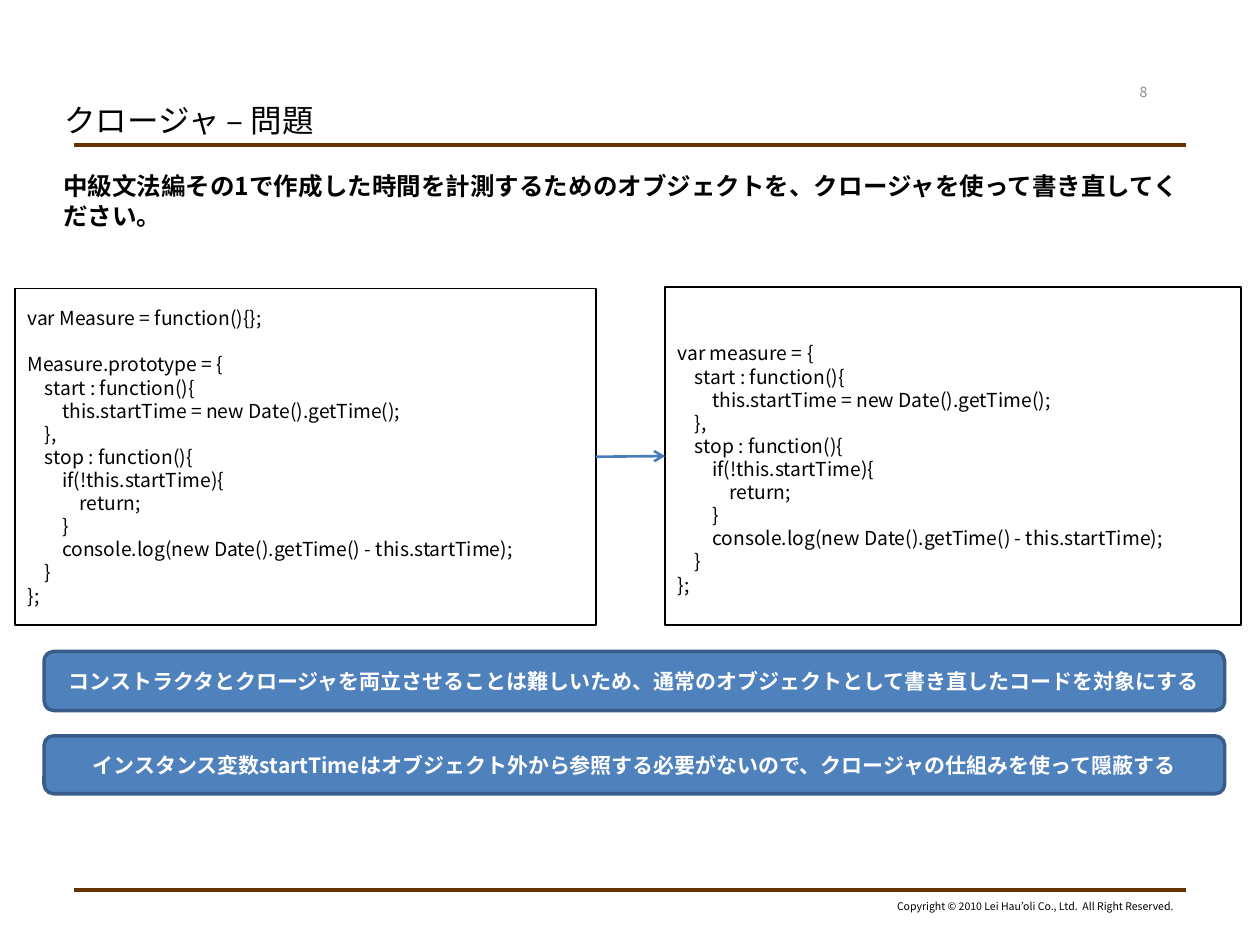
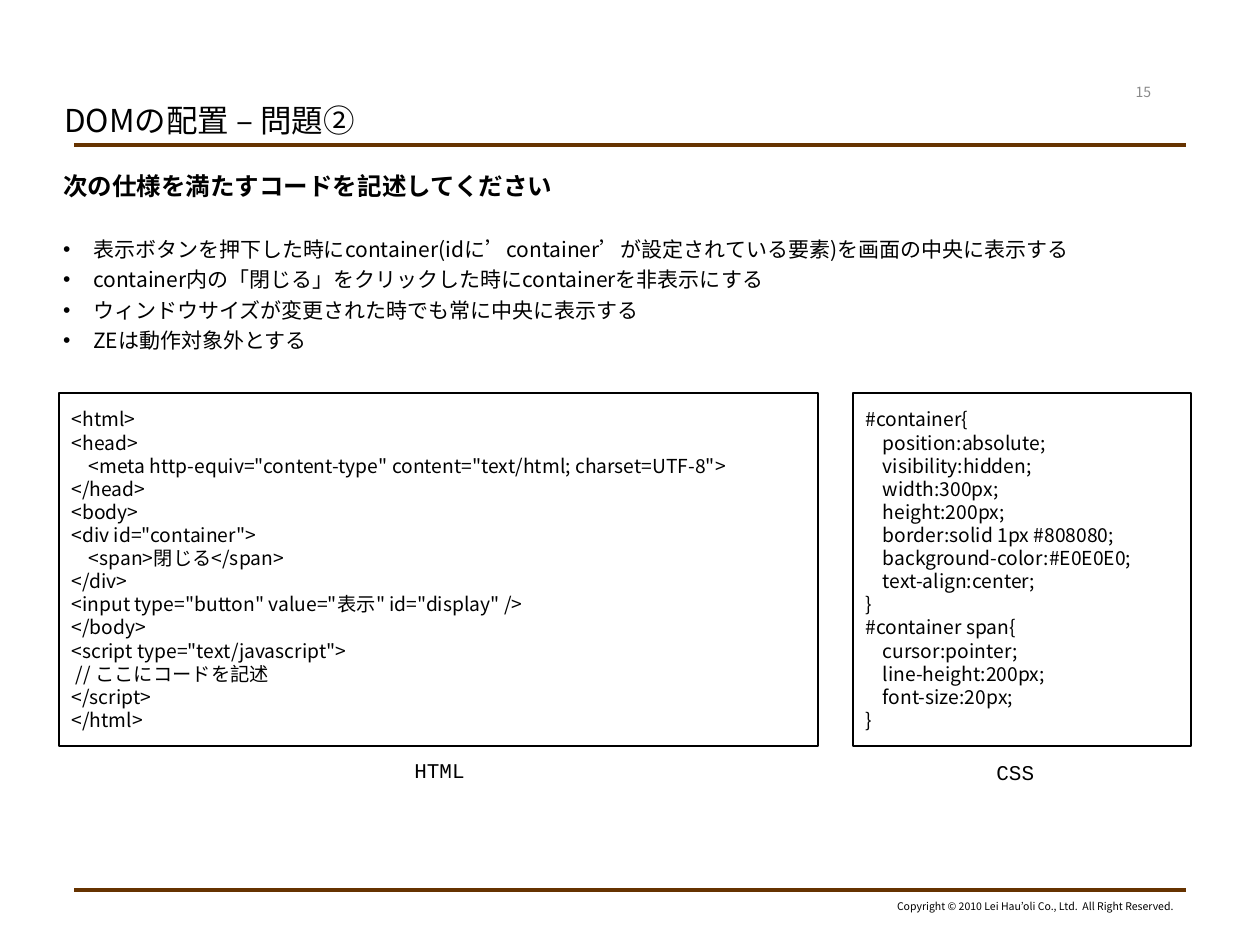
import pptx
import pptx.dml.color
import pptx.enum.shapes
import pptx.enum.text
import pptx.oxml.ns
import pptx.util
from lxml import etree

Inches = pptx.util.Inches
Pt = pptx.util.Pt
Align = pptx.enum.text.PP_ALIGN
Anchor = pptx.enum.text.MSO_ANCHOR
Shape = pptx.enum.shapes.MSO_SHAPE
Connector = pptx.enum.shapes.MSO_CONNECTOR

# Shared style
BLACK, WHITE, GREY, BROWN = "000000", "FFFFFF", "898989", "663300"
BLUE, BLUE_EDGE, ARROW_BLUE = "4F81BD", "385D8A", "4A7EBB"
MAIN_FONT, LABEL_FONT = "Noto Sans CJK JP", "Courier New"
LINE_HEIGHT = 1.2
RULE_LEFT, RULE_RIGHT = 0.59, 9.41
INSETS = (0.1, 0.05, 0.1, 0.05)
NO_INSETS = (0, 0, 0, 0)

# Code listings
MEASURE_METHODS = """\
    start : function(){
        this.startTime = new Date().getTime();
    },
    stop : function(){
        if(!this.startTime){
            return;
        }
        console.log(new Date().getTime() - this.startTime);
    }
};"""
CONSTRUCTOR_CODE = """\
var Measure = function(){};

Measure.prototype = {
""" + MEASURE_METHODS
OBJECT_CODE = "var measure = {\n" + MEASURE_METHODS
HTML_CODE = """\
<html>
<head>
    <meta http-equiv="content-type" content="text/html; charset=UTF-8">
</head>
<body>
<div id="container">
    <span>閉じる</span>
</div>
<input type="button" value="表示" id="display" />
</body>
<script type="text/javascript">
 // ここにコードを記述
</script>
</html>"""
CSS_CODE = """\
#container{
    position:absolute;
    visibility:hidden;
    width:300px;
    height:200px;
    border:solid 1px #808080;
    background-color:#E0E0E0;
    text-align:center;
}
#container span{
    cursor:pointer;
    line-height:200px;
    font-size:20px;
}"""


def color(value):
    return pptx.dml.color.RGBColor.from_string(value)


def add_xml(parent, tag, **attributes):
    return etree.SubElement(parent, pptx.oxml.ns.qn(tag), attributes)


def set_all(target, values):
    for name, value in values.items():
        setattr(target, name, value)


class Lesson:
    """Holds the deck, its style and the current page."""

    def __init__(self):
        self.deck = pptx.Presentation()
        set_all(self.deck, {"slide_width": Inches(10), "slide_height": Inches(7.5)})
        self.page = None

    def add_page(self, title, number):
        first = self.page is None
        self.page = self.deck.slides.add_slide(self.deck.slide_layouts[1])
        if first:
            self.add_master_parts()
        heading = self.page.shapes.title
        self.place(heading, 0.51, 0.76, 5.68, 0.39)
        self.fill_text(heading, [title], 18, insets=NO_INSETS)
        self.text_box(number, 8.78, 0.61, 0.59, 0.24, 8, hue=GREY,
                      align=Align.CENTER, anchor=Anchor.MIDDLE, wrap=True)

    def add_master_parts(self):
        """Put the rules and the copyright line on the slide master."""
        parts = [self.line(RULE_LEFT, y, RULE_RIGHT, y, BROWN, 2.25) for y in (1.15, 7.06)]
        parts.append(self.text_box(
            "Copyright © 2010 Lei Hau’oli Co., Ltd.  All Right Reserved.",
            6.99, 7.09, 2.42, 0.2, 6, align=Align.RIGHT))
        for part in parts:
            self.deck.slide_master.shapes.element.append(part.element)

    def place(self, box, left, top, width, height):
        set_all(box, {"left": Inches(left), "top": Inches(top),
                      "width": Inches(width), "height": Inches(height)})

    def fill_text(self, box, lines, size, hue=BLACK, font=MAIN_FONT, bold=False,
                  align=Align.LEFT, anchor=Anchor.MIDDLE, insets=INSETS, wrap=True):
        frame = box.text_frame
        left, top, right, bottom = map(Inches, insets)
        set_all(frame, {
            "margin_left": left, "margin_top": top, "margin_right": right,
            "margin_bottom": bottom, "vertical_anchor": anchor, "word_wrap": wrap,
            "auto_size": pptx.enum.text.MSO_AUTO_SIZE.NONE})
        for index, text in enumerate(lines):
            para = frame.paragraphs[0] if index == 0 else frame.add_paragraph()
            self.fill_para(para, text, size, hue, font, bold, align)

    def fill_para(self, para, text, size, hue=BLACK, font=MAIN_FONT, bold=False,
                  align=Align.LEFT, before=0):
        set_all(para, {"alignment": align, "line_spacing": Pt(size * LINE_HEIGHT),
                       "space_before": Pt(before), "space_after": Pt(0)})
        if not text:
            para.font.size = Pt(size)
            return
        span = para.add_run()
        span.text = text
        set_all(span.font, {"size": Pt(size), "name": font, "bold": bold})
        span.font.color.rgb = color(hue)
        add_xml(span.font._element, "a:ea", typeface=font)

    def set_bullet(self, para, tag, indent, **attributes):
        properties = para._p.get_or_add_pPr()
        properties.set("marL", str(indent))
        properties.set("indent", str(-indent))
        add_xml(properties, tag, **attributes)

    def body(self, lead, bullets=()):
        box = self.page.placeholders[1]
        frame = box.text_frame
        self.place(box, 0.5, 1.36, 9, 5.54)
        self.set_bullet(frame.paragraphs[0], "a:buNone", 0)
        self.fill_text(box, [lead], 14, bold=True, anchor=Anchor.TOP, insets=NO_INSETS)
        for index, text in enumerate(bullets):
            para = frame.add_paragraph()
            self.set_bullet(para, "a:buChar", Inches(0.24), char="•")
            self.fill_para(para, text, 12, before=3 if index else 20.4)

    def text_box(self, text, left, top, width, height, size,
                 anchor=Anchor.TOP, wrap=False, **style):
        box = self.page.shapes.add_textbox(*map(Inches, (left, top, width, height)))
        self.fill_text(box, [text], size, anchor=anchor, wrap=wrap, **style)
        return box

    def shape(self, kind, left, top, width, height, edge, weight, fill=None):
        box = self.page.shapes.add_shape(kind, *map(Inches, (left, top, width, height)))
        box.shadow.inherit = False
        if fill:
            box.fill.solid()
            box.fill.fore_color.rgb = color(fill)
        else:
            box.fill.background()
        box.line.color.rgb = color(edge)
        box.line.width = Pt(weight)
        return box

    def code(self, text, left, top, width, height, inset_top=0.05):
        box = self.shape(Shape.RECTANGLE, left, top, width, height, BLACK, 1)
        self.fill_text(box, text.split("\n"), 11, insets=(0.1, inset_top, 0.1, 0.05))
        return box

    def banner(self, text, top, height):
        box = self.shape(Shape.ROUNDED_RECTANGLE, 0.35, top, 9.37, height,
                         BLUE_EDGE, 2, BLUE)
        self.fill_text(box, [text], 12, hue=WHITE, bold=True, align=Align.CENTER)

    def line(self, x1, y1, x2, y2, hue, weight):
        line = self.page.shapes.add_connector(
            Connector.STRAIGHT, *map(Inches, (x1, y1, x2, y2)))
        line.line.color.rgb = color(hue)
        line.line.width = Pt(weight)
        add_xml(line.element.spPr, "a:effectLst")
        return line

    def arrow(self, source, target):
        arrow = self.line(4.73, 3.63, 5.28, 3.62, ARROW_BLUE, 1.5)
        arrow.begin_connect(source, 3)
        arrow.end_connect(target, 1)
        add_xml(arrow.line._get_or_add_ln(), "a:tailEnd", type="arrow")


def closure_page(lesson):
    lesson.add_page("クロージャ – 問題", "8")
    lesson.body("中級文法編その1で作成した時間を計測するためのオブジェクトを、"
                "クロージャを使って書き直してください。")
    # Code before and after
    before = lesson.code(CONSTRUCTOR_CODE, 0.12, 2.29, 4.61, 2.67)
    after = lesson.code(OBJECT_CODE, 5.28, 2.28, 4.57, 2.68, inset_top=0.25)
    lesson.arrow(before, after)
    # Hints
    lesson.banner("コンストラクタとクロージャを両立させることは難しいため、"
                  "通常のオブジェクトとして書き直したコードを対象にする", 5.17, 0.47)
    lesson.banner("インスタンス変数startTimeはオブジェクト外から参照する必要がないので、"
                  "クロージャの仕組みを使って隠蔽する", 5.84, 0.46)


def dom_page(lesson):
    lesson.add_page("DOMの配置 – 問題②", "15")
    lesson.body("次の仕様を満たすコードを記述してください", [
        "表示ボタンを押下した時にcontainer(idに’container’が設定されている要素)を画面の中央に表示する",
        "container内の「閉じる」をクリックした時にcontainerを非表示にする",
        "ウィンドウサイズが変更された時でも常に中央に表示する",
        "ZEは動作対象外とする",
    ])
    # Code and captions
    lesson.code(HTML_CODE, 0.47, 3.12, 6.02, 2.8)
    lesson.code(CSS_CODE, 6.77, 3.12, 2.68, 2.8)
    lesson.text_box("HTML", 3.19, 5.96, 0.6, 0.3, 12, font=LABEL_FONT)
    lesson.text_box("CSS", 7.81, 5.98, 0.5, 0.3, 12, font=LABEL_FONT)


def main():
    lesson = Lesson()
    closure_page(lesson)
    dom_page(lesson)
    lesson.deck.save("out.pptx")


if __name__ == "__main__":
    main()
